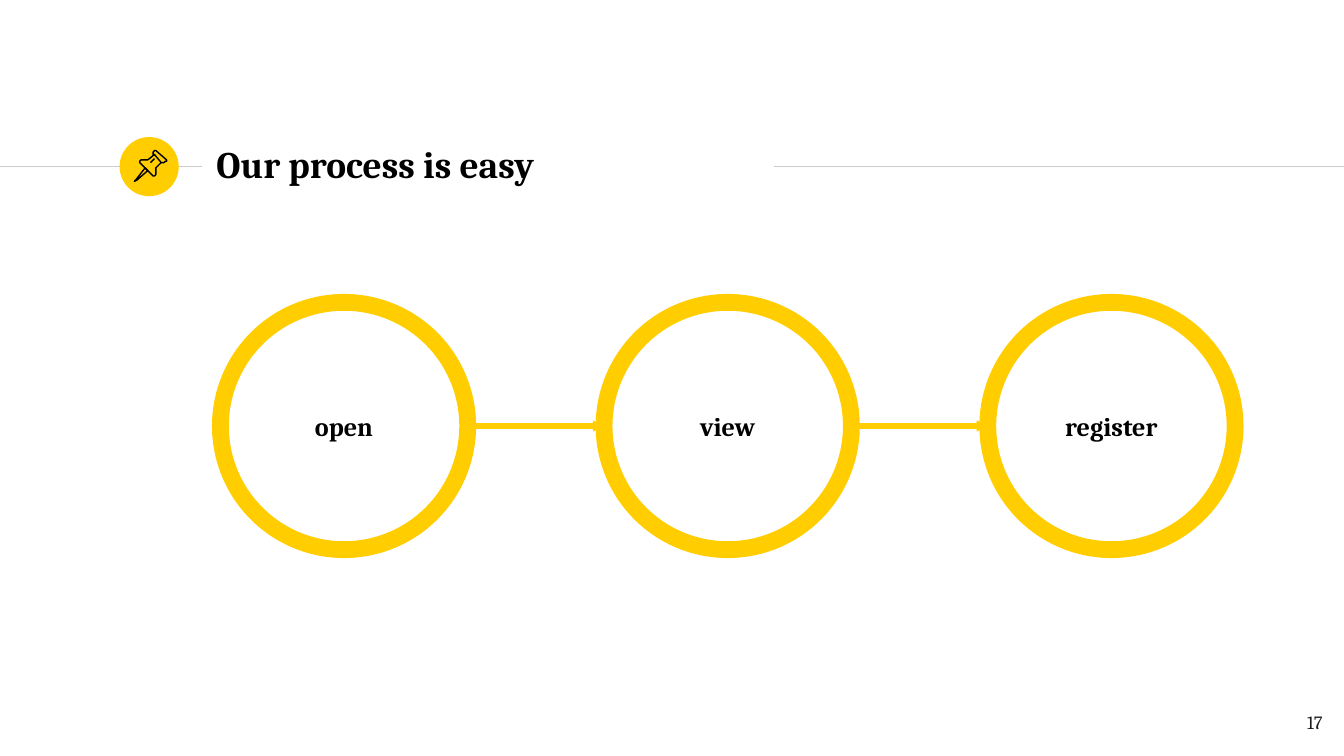
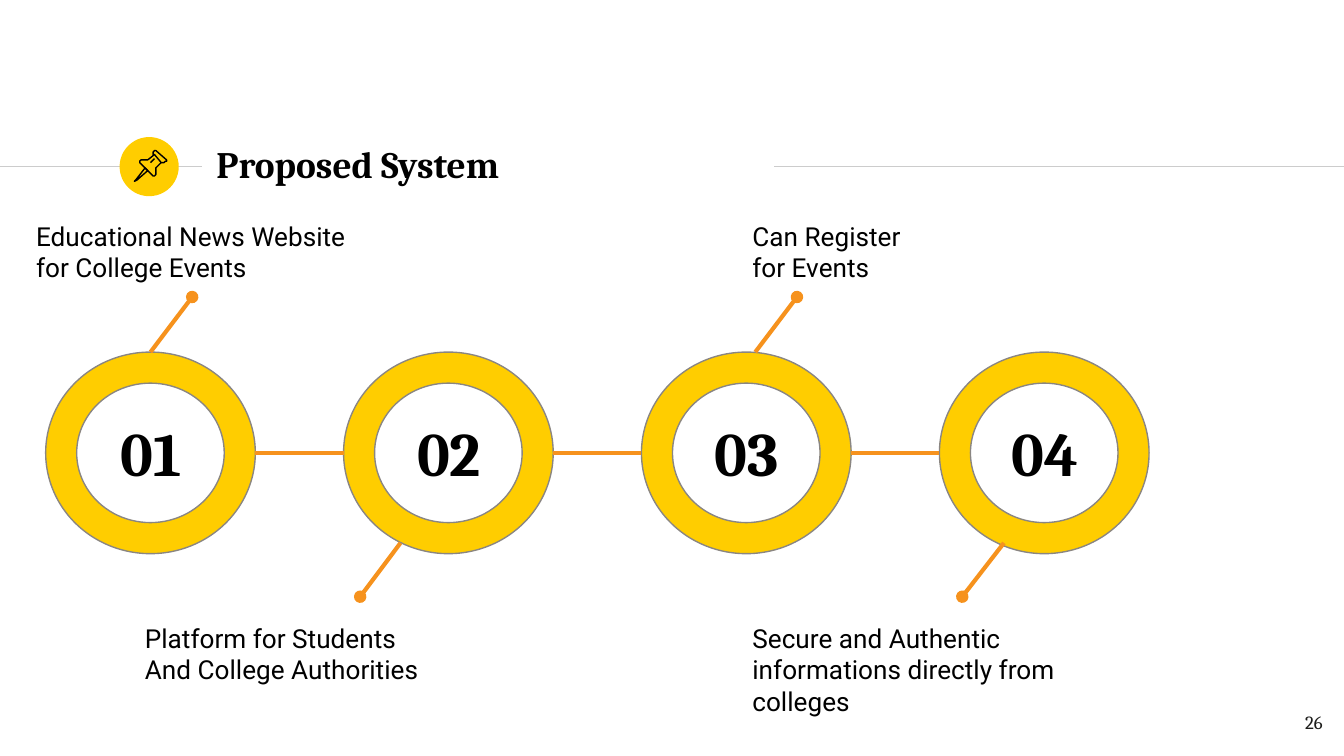
"""Build two process slides that share a pinned title band and a page number."""
from dataclasses import dataclass

from lxml import etree
from pptx import Presentation
from pptx import util as u
from pptx.dml.color import RGBColor
from pptx.enum import shapes, text
from pptx.oxml.ns import qn

SLIDE_WIDTH = 10
SLIDE_HEIGHT = SLIDE_WIDTH * 9 / 16
YELLOW, ORANGE, BLACK = "FFCD00", "F6921D", "000000"
LIGHT_GRAY, RING_EDGE, PAGE_COLOR = "CCCCCC", "8A8682", "1D1D1B"
SERIF, SANS = "Cambria", "Roboto"
LEFT, CENTER, RIGHT = text.PP_ALIGN.LEFT, text.PP_ALIGN.CENTER, text.PP_ALIGN.RIGHT
TOP, MIDDLE = text.MSO_ANCHOR.TOP, text.MSO_ANCHOR.MIDDLE
STRAIGHT, ELBOW = shapes.MSO_CONNECTOR.STRAIGHT, shapes.MSO_CONNECTOR.ELBOW
Point = tuple[float, float]


@dataclass(frozen=True)
class Box:
    left: float
    top: float
    width: float
    height: float

    def lengths(self):
        return [u.Inches(v) for v in (self.left, self.top, self.width, self.height)]


@dataclass(frozen=True)
class Style:
    size: float
    font: str = SERIF
    color: str = BLACK
    bold: bool = False
    align: text.PP_ALIGN = LEFT
    anchor: text.MSO_ANCHOR = TOP


@dataclass(frozen=True)
class Tail:
    kind: str
    size: str = "med"


@dataclass(frozen=True)
class Outline:
    points: tuple[Point, ...]
    closed: bool = True


@dataclass(frozen=True)
class Step:
    number: str
    caption: str
    caption_box: Box
    leader_start: Point
    leader_end: Point


TITLE = Style(20, bold=True, anchor=MIDDLE)
PAGE = Style(10, color=PAGE_COLOR, align=RIGHT)
CIRCLE_LABEL = Style(14, bold=True, align=CENTER, anchor=MIDDLE)
NUMBER = Style(33, bold=True, align=CENTER)
CAPTION = Style(14, font=SANS)
ARROW, DOT = Tail("triangle", "sm"), Tail("oval")

PIN = (
    Outline(((1.08, 1.25), (1.01, 1.34), (1, 1.35), (1.02, 1.34), (1.1, 1.27))),
    Outline(((1.15, 1.15), (1.2, 1.21), (1.22, 1.21), (1.23, 1.2), (1.24, 1.2),
             (1.24, 1.19), (1.16, 1.12), (1.15, 1.12), (1.14, 1.13), (1.14, 1.15))),
    Outline(((1.15, 1.15), (1.1, 1.19), (1.05, 1.19), (1.04, 1.2), (1.04, 1.21),
             (1.14, 1.31), (1.15, 1.31), (1.16, 1.3), (1.16, 1.25), (1.2, 1.21)), False),
    Outline(((1.12, 1.21), (1.15, 1.18)), False),
)

STAGES = ("open", "view", "register")
STAGE_LEFT, STAGE_TOP, STAGE_SIZE, STAGE_PITCH = 1.64, 2.25, 1.84, 5.71 / 2

STEPS = (
    Step("01", "Educational News Website for College Events",
         Box(0.17, 1.54, 2.5, 0.67), (1.12, 2.62), (1.43, 2.21)),
    Step("02", "Platform for Students\nAnd College Authorities",
         Box(0.98, 4.53, 2.5, 0.67), (2.98, 4.04), (2.68, 4.44)),
    Step("03", "Can Register\nfor Events",
         Box(5.5, 1.54, 2.5, 0.67), (5.62, 2.62), (5.93, 2.21)),
    Step("04", "Secure and Authentic informations directly from colleges",
         Box(5.5, 4.53, 2.5, 0.91), (7.47, 4.04), (7.16, 4.44)),
)
RING_LEFT, RING_TOP, RING_WIDTH, RING_HEIGHT = 0.34, 2.62, 1.56, 1.5
RING_PITCH = 6.65 / 3


def rgb(color: str) -> RGBColor:
    return RGBColor.from_string(color)


def write(shape, content: str, style: Style) -> None:
    frame = shape.text_frame
    frame.text = content
    frame.word_wrap = True
    frame.auto_size = text.MSO_AUTO_SIZE.NONE
    frame.vertical_anchor = style.anchor
    frame.margin_left = frame.margin_right = u.Inches(0.1)
    frame.margin_top = frame.margin_bottom = u.Inches(0.1)
    for paragraph in frame.paragraphs:
        paragraph.alignment = style.align
        for run in paragraph.runs:
            run.font.name = style.font
            run.font.size = u.Pt(style.size)
            run.font.bold = style.bold
            run.font.color.rgb = rgb(style.color)


def add_text(slide, box: Box, content: str, style: Style) -> None:
    write(slide.shapes.add_textbox(*box.lengths()), content, style)


def paint(shape, fill: str | None, line: str | None, width: float = 0.75) -> None:
    shape.shadow.inherit = False
    if fill:
        shape.fill.solid()
        shape.fill.fore_color.rgb = rgb(fill)
    else:
        shape.fill.background()
    if line:
        shape.line.color.rgb = rgb(line)
        shape.line.width = u.Pt(width)
    else:
        shape.line.fill.background()


def add_line(slide, start: Point, end: Point, color: str, width: float,
             tail: Tail | None = None, kind=STRAIGHT) -> None:
    ends = [u.Inches(v) for v in (*start, *end)]
    connector = slide.shapes.add_connector(kind, *ends)
    connector.line.color.rgb = rgb(color)
    connector.line.width = u.Pt(width)
    properties = connector._element.spPr
    if tail:
        etree.SubElement(properties.get_or_add_ln(), qn("a:tailEnd"),
                         type=tail.kind, w=tail.size, len=tail.size)
    etree.SubElement(properties, qn("a:effectLst"))


def add_pin(slide) -> None:
    group = slide.shapes.add_group_shape()
    for outline in PIN:
        points = [(u.Inches(x), u.Inches(y)) for x, y in outline.points]
        builder = group.shapes.build_freeform(*points[0])
        builder.add_line_segments(points[1:], close=outline.closed)
        paint(builder.convert_to_shape(), None, BLACK)


def add_titled_slide(presentation, title: str, page: int):
    slide = presentation.slides.add_slide(presentation.slide_layouts[5])
    heading = slide.shapes.title
    heading.left, heading.top, heading.width, heading.height = Box(1.51, 0.98, 4.24, 0.48).lengths()
    write(heading, title, TITLE)
    for start, end in ((0, 1.5), (5.76, SLIDE_WIDTH)):
        add_line(slide, (start, 1.24), (end, 1.24), LIGHT_GRAY, 0.75)
    badge = slide.shapes.add_shape(shapes.MSO_SHAPE.OVAL, *Box(0.89, 1.02, 0.44, 0.44).lengths())
    paint(badge, YELLOW, None)
    add_pin(slide)
    add_text(slide, Box(9.34, 5.19, 0.6, 0.43), str(page), PAGE)
    return slide


def add_process_slide(presentation) -> None:
    slide = add_titled_slide(presentation, "Our process is easy", 17)
    middle = STAGE_TOP + STAGE_SIZE / 2
    for index, stage in enumerate(STAGES):
        left = STAGE_LEFT + index * STAGE_PITCH
        box = Box(left, STAGE_TOP, STAGE_SIZE, STAGE_SIZE)
        circle = slide.shapes.add_shape(shapes.MSO_SHAPE.OVAL, *box.lengths())
        paint(circle, None, YELLOW, 9)
        write(circle, stage, CIRCLE_LABEL)
        if index:
            previous_right = left - STAGE_PITCH + STAGE_SIZE
            add_line(slide, (previous_right, middle), (left, middle), YELLOW, 3, ARROW)


def add_system_slide(presentation) -> None:
    slide = add_titled_slide(presentation, "Proposed System", 26)
    middle = RING_TOP + RING_HEIGHT / 2
    for index, step in enumerate(STEPS):
        left = RING_LEFT + index * RING_PITCH
        box = Box(left, RING_TOP, RING_WIDTH, RING_HEIGHT)
        ring = slide.shapes.add_shape(shapes.MSO_SHAPE.DONUT, *box.lengths())
        ring.adjustments[0] = 0.154
        paint(ring, YELLOW, RING_EDGE)
        if index:
            previous_right = left - RING_PITCH + RING_WIDTH
            add_line(slide, (previous_right, middle), (left, middle), ORANGE, 2.25, kind=ELBOW)
        add_text(slide, Box(left + 0.33, 2.99, 0.91, 0.76), step.number, NUMBER)
        add_line(slide, step.leader_start, step.leader_end, ORANGE, 2.25, DOT)
        add_text(slide, step.caption_box, step.caption, CAPTION)


def main() -> None:
    presentation = Presentation()
    presentation.slide_width = u.Inches(SLIDE_WIDTH)
    presentation.slide_height = u.Inches(SLIDE_HEIGHT)
    add_process_slide(presentation)
    add_system_slide(presentation)
    presentation.save("out.pptx")


if __name__ == "__main__":
    main()
